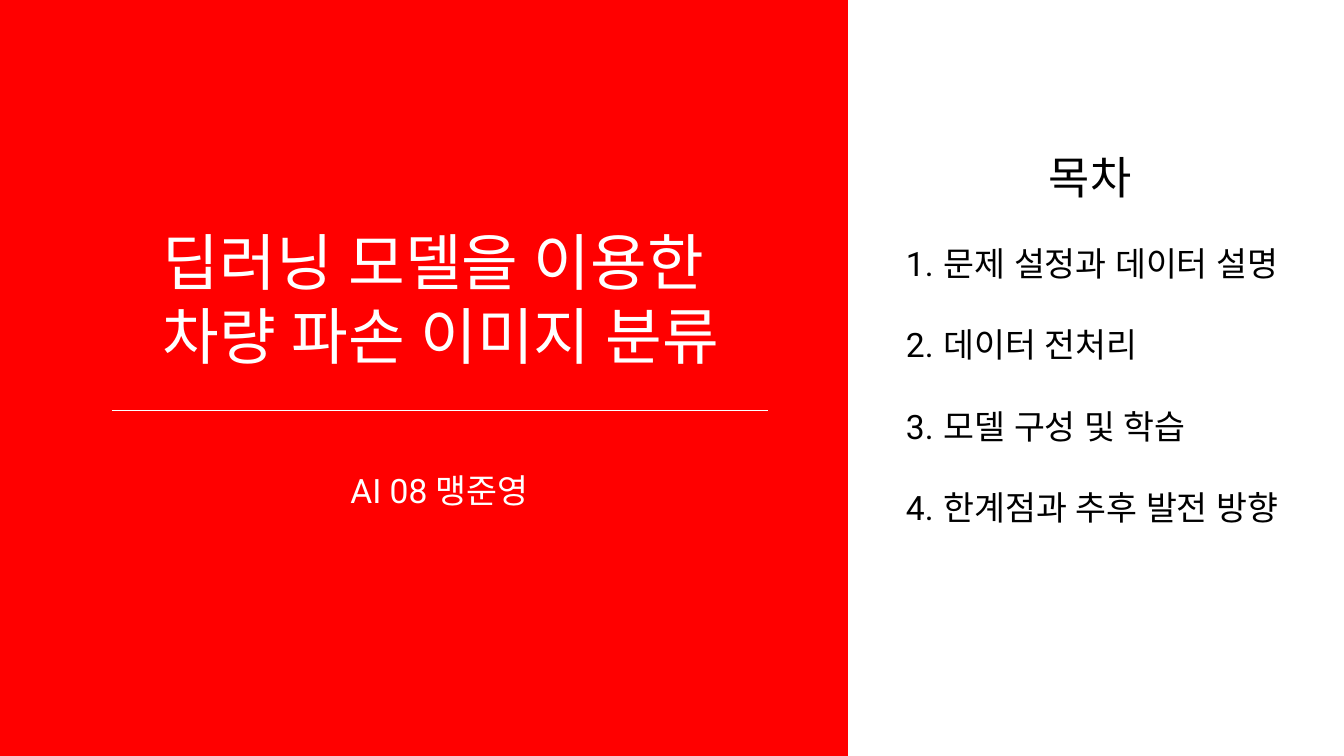
from dataclasses import dataclass

from lxml import etree
from pptx import Presentation
from pptx import util as u
from pptx.dml.color import RGBColor
from pptx.enum import shapes, text
from pptx.oxml.ns import qn

EMU_PER_PX = 914400 / 100.8


def px(n: float) -> u.Emu:
    return u.Emu(round(n * EMU_PER_PX))


@dataclass(frozen=True)
class Theme:
    font: str = "Roboto"
    red: RGBColor = RGBColor(255, 0, 0)
    white: RGBColor = RGBColor(255, 255, 255)
    black: RGBColor = RGBColor(0, 0, 0)
    title: int = 44
    heading: int = 32
    body: int = 24
    rule: float = 0.75
    item_gap: float = 29.4


@dataclass(frozen=True)
class TextBlock:
    left: int
    top: int
    width: int
    height: int
    lines: tuple[str, ...]
    size: int
    color: RGBColor
    align: text.PP_ALIGN = text.PP_ALIGN.LEFT
    numbered: bool = False


T = Theme()
CENTER = text.PP_ALIGN.CENTER
NUMBER_INDENT = 38

BLOCKS = [
    TextBlock(96, 219, 691, 159, ("딥러닝 모델을 이용한 ", "차량 파손 이미지 분류"),
              T.title, T.white, CENTER),
    TextBlock(306, 465, 267, 50, ("AI 08 맹준영",), T.body, T.white, CENTER),
    TextBlock(896, 238, 489, 294,
              ("문제 설정과 데이터 설명", "데이터 전처리",
               "모델 구성 및 학습", "한계점과 추후 발전 방향"),
              T.body, T.black, numbered=True),
    TextBlock(1039, 145, 237, 65, ("목차",), T.heading, T.black),
]


def number_paragraph(p) -> None:
    pPr = p._p.get_or_add_pPr()
    pPr.set("marL", str(px(NUMBER_INDENT)))
    pPr.set("indent", str(-px(NUMBER_INDENT)))
    p.space_after = u.Pt(T.item_gap)
    etree.SubElement(pPr, qn("a:buAutoNum"), type="arabicPeriod")


def add_text(s, block: TextBlock) -> None:
    sp = s.shapes.add_textbox(px(block.left), px(block.top),
                              px(block.width), px(block.height))
    tf = sp.text_frame
    tf.word_wrap = True
    for i, line in enumerate(block.lines):
        p = tf.add_paragraph() if i else tf.paragraphs[0]
        p.alignment = block.align
        if block.numbered:
            number_paragraph(p)
        r = p.add_run()
        r.text = line
        r.font.size = u.Pt(block.size)
        r.font.color.rgb = block.color
        r.font.name = T.font
        # Hangul takes the East Asian typeface
        etree.SubElement(r._r.get_or_add_rPr(), qn("a:ea"), typeface=T.font)


def add_panel(s, width: int, height: int) -> None:
    sp = s.shapes.add_shape(shapes.MSO_SHAPE.RECTANGLE, 0, 0, px(width), px(height))
    sp.shadow.inherit = False
    sp.fill.solid()
    sp.fill.fore_color.rgb = T.red
    sp.line.fill.background()


def add_rule(s, x1: int, x2: int, y: int) -> None:
    line = s.shapes.add_connector(shapes.MSO_CONNECTOR.STRAIGHT,
                                  px(x1), px(y), px(x2), px(y))
    line.line.color.rgb = T.white
    line.line.width = u.Pt(T.rule)
    etree.SubElement(line._element.spPr, qn("a:effectLst"))


prs = Presentation()
prs.slide_width, prs.slide_height = px(1344), px(756)
s = prs.slides.add_slide(prs.slide_layouts[6])

# Red title panel with its divider
add_panel(s, 848, 756)
add_rule(s, 112, 768, 411)

# Title, author, table of contents and its heading
for block in BLOCKS:
    add_text(s, block)

prs.save("out.pptx")
